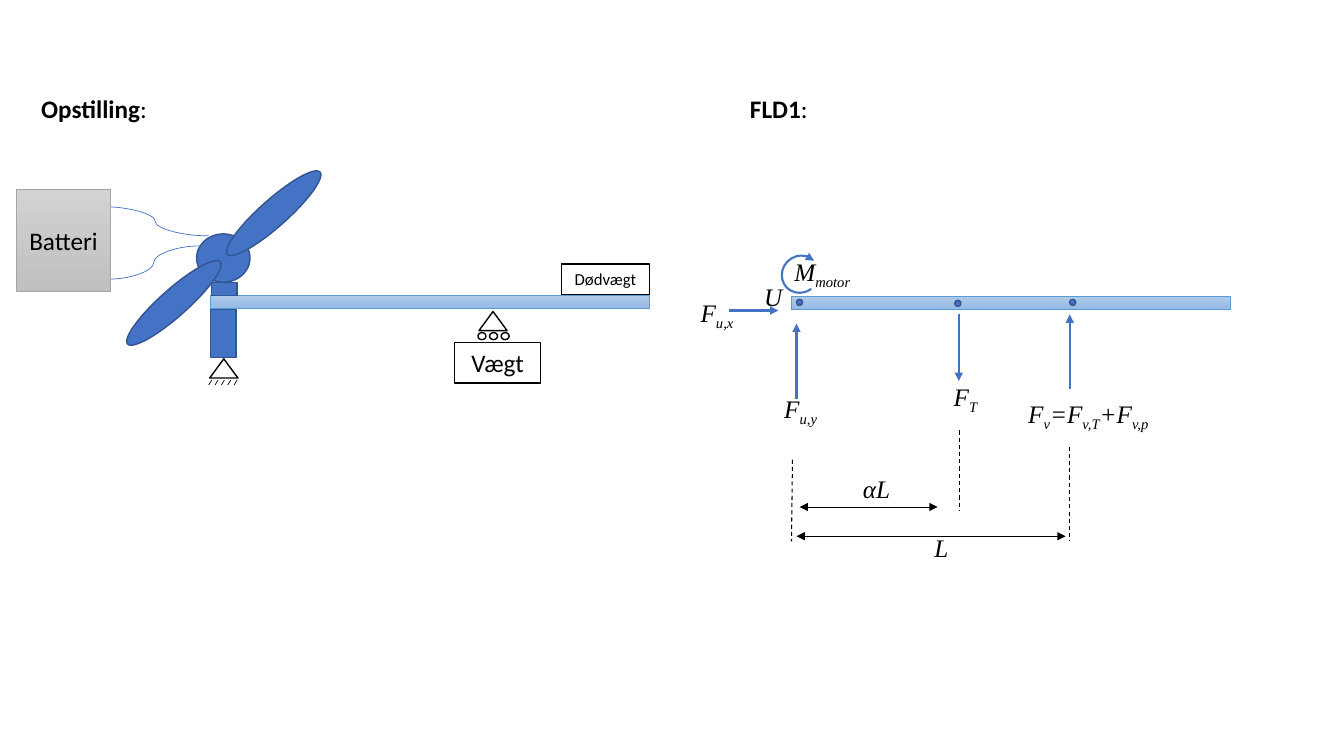
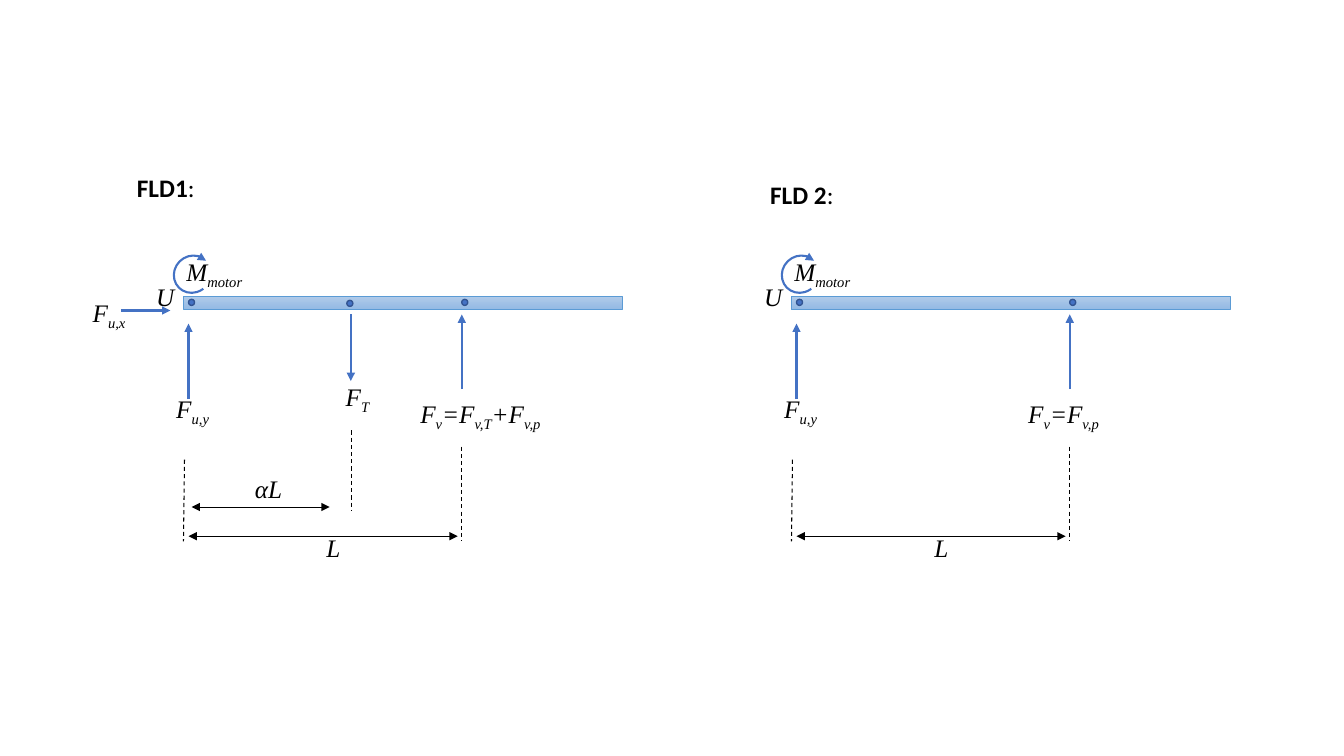
"""Draw a propeller test rig and its free-body diagrams on two slides."""
from lxml import etree
from pptx import Presentation
from pptx.dml.color import RGBColor
from pptx.enum import dml, shapes, text
from pptx.oxml import ns
from pptx.util import Inches, Pt

BLUE, EDGE, BLACK, WHITE = "4472C4", "325491", "000000", "FFFFFF"
SKY, STEEL = ("B1CBE9", "93B9E4"), ("D2D2D2", "C0C0C0")
BODY, MATH = "Calibri", "Times New Roman"
FORM, LINK = shapes.MSO_SHAPE, shapes.MSO_CONNECTOR
BEAM = (4.35, 0.13)
FORCE = dict(hue=BLUE, size=1.5, tail=True)
GUIDE = dict(size=0.75, dash=True)
SPAN = dict(size=0.5, head=True, tail=True)

# Diagram parts: x is measured from the left end of the beam
BASE = dict(
    lines=[(2.76, 3.86, 2.76, 3.12, FORCE), (0.05, 3.96, 0.05, 3.21, FORCE),
           (0.01, 4.56, 0, 5.37, GUIDE), (2.76, 4.43, 2.76, 5.37, GUIDE),
           (0.05, 5.32, 2.72, 5.32, SPAN)],
    names=[("F|u,y", -0.17, 3.85, 0.56, False), ("L", 1.32, 5.23, 0.34, False),
           ("M|motor", -0.07, 2.49, 0.89, True), ("U", -0.37, 2.74, 0.38, True)],
    dots=[(0.05, 2.97), (2.76, 2.97)])
EXTRA = dict(
    lines=[(1.66, 3.12, 1.66, 3.78, FORCE), (-0.62, 3.08, -0.13, 3.08, FORCE),
           (1.67, 4.27, 1.67, 5.07, GUIDE), (0.08, 5.03, 1.45, 5.03, SPAN)],
    names=[("F|T", 1.51, 3.73, 0.45, False), ("F|u,x", -1, 2.9, 0.59, True),
           ("αL", 0.61, 4.65, 0.52, True)],
    dots=[(1.62, 2.98)])
FULL, PART = "F|v|=F|v,T|+F|v,p", "F|v|=F|v,p"
VIEWS = [
    (0, 7.85, FULL, [BASE, EXTRA], ("FLD1|: ", 7.34, 0.88, 0.86)),
    (1, 1.82, FULL, [BASE, EXTRA], ("FLD1|: ", 1.26, 1.66, 1.12)),
    (1, 7.85, PART, [BASE], ("FLD 2|: ", 7.54, 1.73, 1.12)),
]
BOXES = [("Vægt", 4.51, 3.4, 0.85, 0.4, 18), ("Dødvægt", 5.57, 2.62, 0.87, 0.3, 12)]
ROTOR = [(FORM.OVAL, 1.95, 2.32, 0.53, 0.48, 0),
         (FORM.RECTANGLE, 2.1, 2.8, 0.25, 0.13, 0),
         (FORM.OVAL, 2.1, 1.98, 1.23, 0.27, 318.4),
         (FORM.OVAL, 1.11, 2.87, 1.23, 0.27, 318.4),
         (FORM.RECTANGLE, 2.09, 3.07, 0.25, 0.48, 0)]
WIRES = [(2.07, 2.34, 1.01, 2.05), (1.98, 2.44, 1.07, 2.77)]


def color(code):
    """Turn a hex string into a colour."""
    return RGBColor.from_string(code)


def write(frame, words, size=18, face=BODY, bold=False, sub=False,
          wrap=True, center=False):
    """Write text whose parts between bars alternate in format."""
    frame.word_wrap = wrap
    para = frame.paragraphs[0]
    para.alignment = text.PP_ALIGN.CENTER if center else text.PP_ALIGN.LEFT
    for i, part in enumerate(words.split("|")):
        run = para.add_run()
        run.text = part
        font = run.font
        font.size, font.name, font.color.rgb = Pt(size), face, color(BLACK)
        font.bold, font.italic = bold and i % 2 == 0, sub
        if sub and i % 2:
            run._r.get_or_add_rPr().set("baseline", "-25000")


def label(page, words, x, y, w, **style):
    """Add a one-line text box."""
    box = page.shapes.add_textbox(*map(Inches, (x, y, w, 0.4)))
    write(box.text_frame, words, **style)


def tips(line, head, tail):
    """Put triangular arrowheads on a line."""
    for tag, on in (("a:headEnd", head), ("a:tailEnd", tail)):
        if on:
            etree.SubElement(line._get_or_add_ln(), ns.qn(tag), type="triangle")


def stroke(page, x1, y1, x2, y2, hue=BLACK, size=0.5, dash=False,
           head=False, tail=False, kind=LINK.STRAIGHT):
    """Add a straight or curved line."""
    item = page.shapes.add_connector(kind, *map(Inches, (x1, y1, x2, y2)))
    item.line.color.rgb, item.line.width = color(hue), Pt(size)
    if dash:
        item.line.dash_style = dml.MSO_LINE.DASH
    tips(item.line, head, tail)
    etree.SubElement(item._element.spPr, ns.qn("a:effectLst"))


def shape(page, kind, x, y, w, h, fill=WHITE, edge=BLACK, size=1, turn=0):
    """Add a preset shape with a plain, graded or empty fill."""
    item = page.shapes.add_shape(kind, *map(Inches, (x, y, w, h)))
    item.shadow.inherit = False
    item.rotation = turn
    item.line.color.rgb, item.line.width = color(edge), Pt(size)
    if fill is None:
        item.fill.background()
    elif isinstance(fill, tuple):
        item.fill.gradient()
        item.fill.gradient_angle = 270
        for stop, code in zip(item.fill.gradient_stops, fill):
            stop.color.rgb = color(code)
    else:
        item.fill.solid()
        item.fill.fore_color.rgb = color(fill)
    return item


def beam(page, x, y):
    """Add the graded beam."""
    shape(page, FORM.RECTANGLE, x, y, *BEAM, fill=SKY, edge="5B9BD5", size=0.5)


def view(page, left, sum_, parts, title):
    """Draw one free-body diagram."""
    beam(page, left, 2.94)
    for part in parts:
        for x1, y1, x2, y2, style in part["lines"]:
            stroke(page, left + x1, y1, left + x2, y2, **style)
        for words, x, y, w, wrap in part["names"]:
            label(page, words, left + x, y, w, face=MATH, sub=True, wrap=wrap)
        for x, y in part["dots"]:
            shape(page, FORM.OVAL, left + x, y, 0.06, 0.06, fill=BLUE, edge=EDGE)
    label(page, sum_, left + 2.25, 3.9, 1.47, face=MATH, sub=True)
    label(page, *title, bold=True)
    arc = shape(page, FORM.ARC, left - 0.09, 2.53, 0.36, 0.38,
                fill=None, edge=BLUE, size=1.5, turn=45.3)
    arc.adjustments[0], arc.adjustments[1] = 162, 103.09
    arc._element.spPr.xfrm.set("flipH", "1")
    tips(arc.line, True, False)


def rig(page):
    """Draw the test rig."""
    label(page, "Opstilling|: ", 0.31, 0.88, 1.59, bold=True)
    beam(page, 2.09, 2.93)
    for x, y in ((2.08, 3.56), (4.75, 3.09)):
        shape(page, FORM.ISOSCELES_TRIANGLE, x, y, 0.28, 0.19)
    for i in range(5):
        x = 2.1 + 0.063 * i
        stroke(page, x, 3.77, x - 0.03, 3.82)
    for i in range(3):
        shape(page, FORM.OVAL, 4.74 + 0.115 * i, 3.3, 0.08, 0.07)
    for kind, x, y, w, h, turn in ROTOR:
        shape(page, kind, x, y, w, h, fill=BLUE, edge=EDGE, turn=turn)
    for ends in WIRES:
        stroke(page, *ends, hue=BLUE, kind=LINK.CURVE)
    for words, x, y, w, h, size in BOXES:
        box = shape(page, FORM.RECTANGLE, x, y, w, h)
        write(box.text_frame, words, size=size, center=True)
    cell = shape(page, FORM.RECTANGLE, 0.16, 1.88, 0.94, 1.01,
                 fill=STEEL, edge="A5A5A5", size=0.5)
    write(cell.text_frame, "Batteri", center=True)


deck = Presentation()
deck.slide_width, deck.slide_height = Inches(13.33), Inches(7.5)
pages = [deck.slides.add_slide(deck.slide_layouts[6]) for _ in range(2)]
rig(pages[0])
for n, *rest in VIEWS:
    view(pages[n], *rest)
deck.save("out.pptx")
